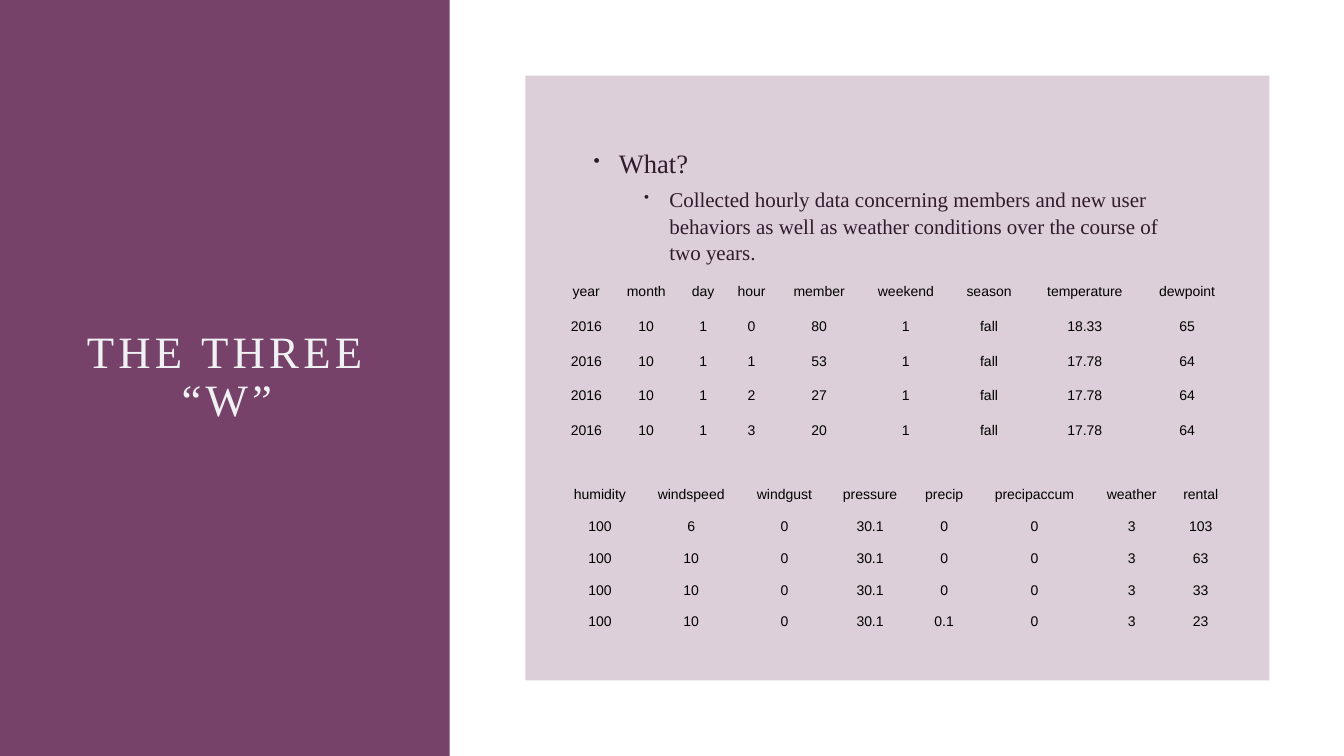
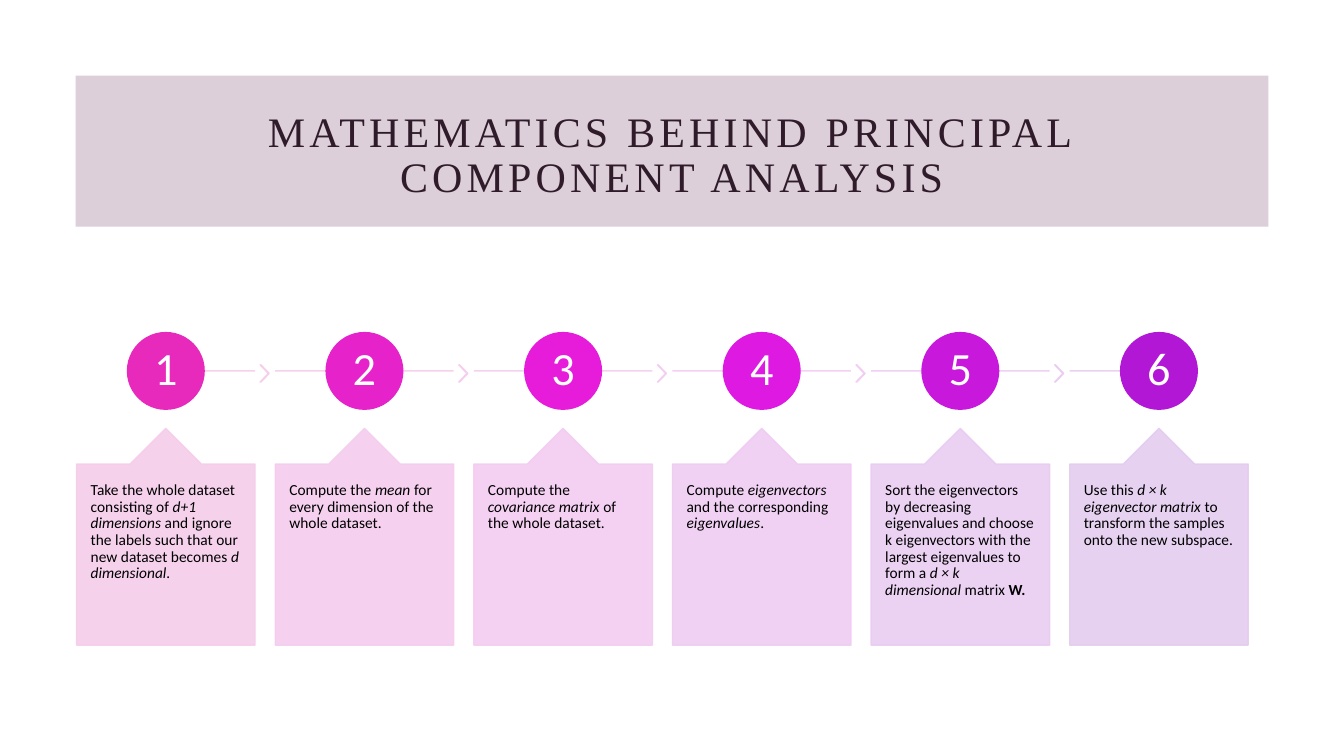
from dataclasses import dataclass

from lxml import etree
from pptx import Presentation
from pptx.dml.color import RGBColor
from pptx.enum.shapes import MSO_CONNECTOR, MSO_SHAPE
from pptx.enum.text import MSO_ANCHOR, PP_ALIGN
from pptx.oxml.ns import qn
from pptx.util import Inches, Pt

RECT, OVAL = MSO_SHAPE.RECTANGLE, MSO_SHAPE.OVAL
CHEVRON, CALLOUT = MSO_SHAPE.CHEVRON, MSO_SHAPE.UP_ARROW_CALLOUT
STRAIGHT = MSO_CONNECTOR.STRAIGHT
TOP, MIDDLE, BOTTOM = MSO_ANCHOR.TOP, MSO_ANCHOR.MIDDLE, MSO_ANCHOR.BOTTOM
LEFT, CENTER = PP_ALIGN.LEFT, PP_ALIGN.CENTER
NO_STYLE = "{2D5ABB26-0587-4C30-8999-92F81FD0307C}"


@dataclass(frozen=True)
class Theme:
    """Colours, fonts and type sizes of the deck."""
    plum: str = "764269"
    ink: str = "301B2B"
    pale: str = "F0F1F3"
    white: str = "FFFFFF"
    black: str = "000000"
    serif: str = "Times New Roman"
    sans: str = "Calibri"
    grid: str = "Arial"
    side_title: int = 32
    band_title: int = 30
    body: int = 19
    sub_body: int = 15
    cell: int = 10
    number: int = 33
    step: int = 11
    panel_alpha: int = 25
    step_alpha: int = 90


T = Theme()

WEATHER = (
    (0.82, 0.99, 0.86, 0.84, 0.63, 1.16, 0.77, 0.6),
    (
        "humidity windspeed windgust pressure precip precipaccum weather rental",
        "100 6 0 30.1 0 0 3 103",
        "100 10 0 30.1 0 0 3 63",
        "100 10 0 30.1 0 0 3 33",
        "100 10 0 30.1 0.1 0 3 23",
    ),
)
MEMBERS = (
    (0.51, 0.68, 0.45, 0.51, 0.83, 0.89, 0.76, 1.14, 0.89),
    (
        "year month day hour member weekend season temperature dewpoint",
        "2016 10 1 0 80 1 fall 18.33 65",
        "2016 10 1 1 53 1 fall 17.78 64",
        "2016 10 1 2 27 1 fall 17.78 64",
        "2016 10 1 3 20 1 fall 17.78 64",
    ),
)

PLAIN, ITALIC, BOLD = {}, {"italic": True}, {"bold": True}
STEPS = (
    (("Take the whole dataset consisting of ", PLAIN), ("d+1 dimensions", ITALIC),
     (" and ignore the labels such that our new dataset becomes ", PLAIN),
     ("d dimensional.", ITALIC)),
    (("Compute the ", PLAIN), ("mean", ITALIC),
     (" for every dimension of the whole dataset.", PLAIN)),
    (("Compute the ", PLAIN), ("covariance matrix", ITALIC),
     (" of the whole dataset.", PLAIN)),
    (("Compute ", PLAIN), ("eigenvectors", ITALIC), (" and the corresponding ", PLAIN),
     ("eigenvalues", ITALIC), (".", PLAIN)),
    (("Sort the eigenvectors by decreasing eigenvalues and choose k eigenvectors "
      "with the largest eigenvalues to form a ", PLAIN),
     ("d × k dimensional", ITALIC), (" matrix ", PLAIN), ("W.", BOLD)),
    (("Use this ", PLAIN), ("d × k eigenvector matrix", ITALIC),
     (" to transform the samples onto the new subspace.", PLAIN)),
)
CIRCLES = ("E729BC", "E622CA", "E61CDA", "DD19E2", "C718DB", "B117D5")
LINES = ("F6CDE7", "F5CDEB", "F4CDEF", "F3CDF3", "EDCCF1", "E8CCF0")
CHEVRONS = ("F5CDE9", "F4CDEC", "F3CDF0", "F1CCF2", "EBCCF1")
CALLOUTS = ("F5CDEA", "F4CDEE", "F3CDF1", "EFCCF2", "E9CCF1", "E4CCEF")


def set_attrs(obj, fmt):
    """Set each attribute named in a dict of format values."""
    for name, value in fmt.items():
        setattr(obj, name, value)


def set_alpha(sp, percent):
    """Make every colour of a shape or line partly transparent."""
    for clr in sp._element.spPr.iter(qn("a:srgbClr")):
        etree.SubElement(clr, qn("a:alpha"), val=str(percent * 1000))


def set_frame(tf, anchor=TOP, insets=(0.1, 0.05, 0.1, 0.05)):
    """Set wrapping, anchor and insets of a text frame."""
    left, top, right, bottom = map(Inches, insets)
    set_attrs(tf, {"word_wrap": True, "vertical_anchor": anchor, "margin_left": left,
                   "margin_top": top, "margin_right": right, "margin_bottom": bottom})


def write(p, runs, font, size, color, **fmt):
    """Write styled runs into a paragraph and return them."""
    set_attrs(p, fmt)
    written = []
    for text, style in runs:
        r = p.add_run()
        r.text = text
        set_attrs(r.font, {"name": font, "size": Pt(size), **style})
        r.font.color.rgb = RGBColor.from_string(color)
        written.append(r)
    return written


def add_shape(s, kind, box, color, alpha=100, outlined=False, adjust=()):
    """Add a filled preset shape, with a matching outline if asked."""
    sp = s.shapes.add_shape(kind, *map(Inches, box))
    sp.shadow.inherit = False
    rgb = RGBColor.from_string(color)
    sp.fill.solid()
    sp.fill.fore_color.rgb = rgb
    if outlined:
        sp.line.color.rgb = rgb
        sp.line.width = Pt(1)
    else:
        sp.line.fill.background()
    for i, value in enumerate(adjust):
        sp.adjustments[i] = value
    if alpha < 100:
        set_alpha(sp, alpha)
    return sp


def add_panel(s, box):
    """Add the pale plum panel behind content."""
    add_shape(s, RECT, box, T.plum, T.panel_alpha)


def add_line(s, x1, x2, y, color):
    """Add a thin horizontal line."""
    line = s.shapes.add_connector(STRAIGHT, *map(Inches, (x1, y, x2, y)))
    line.line.color.rgb = RGBColor.from_string(color)
    line.line.width = Pt(1)
    set_alpha(line, T.step_alpha)
    etree.SubElement(line._element.spPr, qn("a:effectLst"))


def add_title(s, text, box, size, color):
    """Add a centred, letter-spaced title."""
    tf = s.shapes.add_textbox(*map(Inches, box)).text_frame
    set_frame(tf, MIDDLE)
    for r in write(tf.paragraphs[0], [(text, PLAIN)], T.serif, size, color,
                   alignment=CENTER, line_spacing=0.9):
        r._r.get_or_add_rPr().set("spc", "300")


def add_bullets(s, items, box):
    """Add bulleted paragraphs from (text, indent, size) items."""
    tf = s.shapes.add_textbox(*map(Inches, box)).text_frame
    set_frame(tf)
    for i, (text, indent, size) in enumerate(items):
        p = tf.add_paragraph() if i else tf.paragraphs[0]
        pPr = p._p.get_or_add_pPr()
        pPr.set("marL", str(Inches(indent)))
        pPr.set("indent", str(Inches(-0.25)))
        etree.SubElement(pPr, qn("a:buSzPct"), val="70000")
        etree.SubElement(pPr, qn("a:buChar"), char="•")
        write(p, [(text, PLAIN)], T.serif, size, T.ink,
              line_spacing=1.05, space_before=Pt(5 if i else 0))


def add_grid(s, data, left, top, height):
    """Add a plain table of centred cells."""
    widths, lines = data
    rows = [line.split() for line in lines]
    box = map(Inches, (left, top, sum(widths), height))
    table = s.shapes.add_table(len(rows), len(widths), *box).table
    set_attrs(table, {"first_row": False, "horz_banding": False})
    table._tbl.tblPr.find(qn("a:tableStyleId")).text = NO_STYLE
    for column, width in zip(table.columns, widths):
        column.width = Inches(width)
    for r, row in enumerate(rows):
        for c, text in enumerate(row):
            cell = table.cell(r, c)
            cell.fill.background()
            edge = Inches(0.01)
            set_attrs(cell, {"vertical_anchor": BOTTOM, "margin_left": edge,
                             "margin_right": edge, "margin_top": edge, "margin_bottom": 0})
            write(cell.text_frame.paragraphs[0], [(text, PLAIN)], T.grid, T.cell,
                  T.black, alignment=CENTER)


def add_step(s, i, runs):
    """Add one numbered step with its line, chevron and callout."""
    width, circle, axis = 1.77, 0.76, 3.68
    left = 0.76 + 1.97 * i
    center = left + width / 2
    first, last = i == 0, i == len(STEPS) - 1
    add_line(s, center if first else left, center if last else left + width,
             axis, LINES[i])
    if not last:
        add_shape(s, CHEVRON, (left + 1.82, 3.62, 0.09, 0.17), CHEVRONS[i],
                  T.step_alpha, True, (0.9,))
    sp = add_shape(s, OVAL, (center - circle / 2, axis - circle / 2, circle, circle),
                   CIRCLES[i], outlined=True)
    set_frame(sp.text_frame, MIDDLE, (0.03,) * 4)
    write(sp.text_frame.paragraphs[0], [(str(i + 1), PLAIN)], T.sans, T.number,
          T.white, alignment=CENTER, line_spacing=0.9)
    sp = add_shape(s, CALLOUT, (left, 4.25, width, 2.15), CALLOUTS[i],
                   T.step_alpha, True, (0.5, 0.2, 0.2, 1))
    set_frame(sp.text_frame, TOP, (0.14, 0.18, 0.14, 0.18))
    write(sp.text_frame.paragraphs[0], runs, T.sans, T.step, T.black,
          alignment=LEFT, line_spacing=0.9)


def build_data_slide(s):
    """Build the slide on the collected data."""
    add_shape(s, RECT, (0, 0, 4.46, 7.5), T.plum)
    add_title(s, "THE THREE “W”", (0.75, 1.5, 3, 4.5), T.side_title, T.pale)
    add_panel(s, (5.21, 0.75, 7.38, 6))
    add_bullets(s, (
        ("What?", 0.25, T.body),
        ("Collected hourly data concerning members and new user behaviors as well as "
         "weather conditions over the course of two years.", 0.75, T.sub_body),
    ), (5.79, 1.39, 6.16, 4.77))
    add_grid(s, WEATHER, 5.54, 4.67, 1.58)
    add_grid(s, MEMBERS, 5.56, 2.63, 1.72)


def build_steps_slide(s):
    """Build the slide on the six steps of the analysis."""
    add_panel(s, (0.75, 0.75, 11.83, 1.5))
    add_title(s, "MATHEMATICS BEHIND PRINCIPAL COMPONENT ANALYSIS",
              (1.53, 1.04, 10.27, 1.02), T.band_title, T.ink)
    for i, runs in enumerate(STEPS):
        add_step(s, i, runs)


def main():
    """Build and save the deck."""
    prs = Presentation()
    set_attrs(prs, {"slide_width": Inches(13.33), "slide_height": Inches(7.5)})
    for build in (build_data_slide, build_steps_slide):
        build(prs.slides.add_slide(prs.slide_layouts[6]))
    prs.save("out.pptx")


if __name__ == "__main__":
    main()
